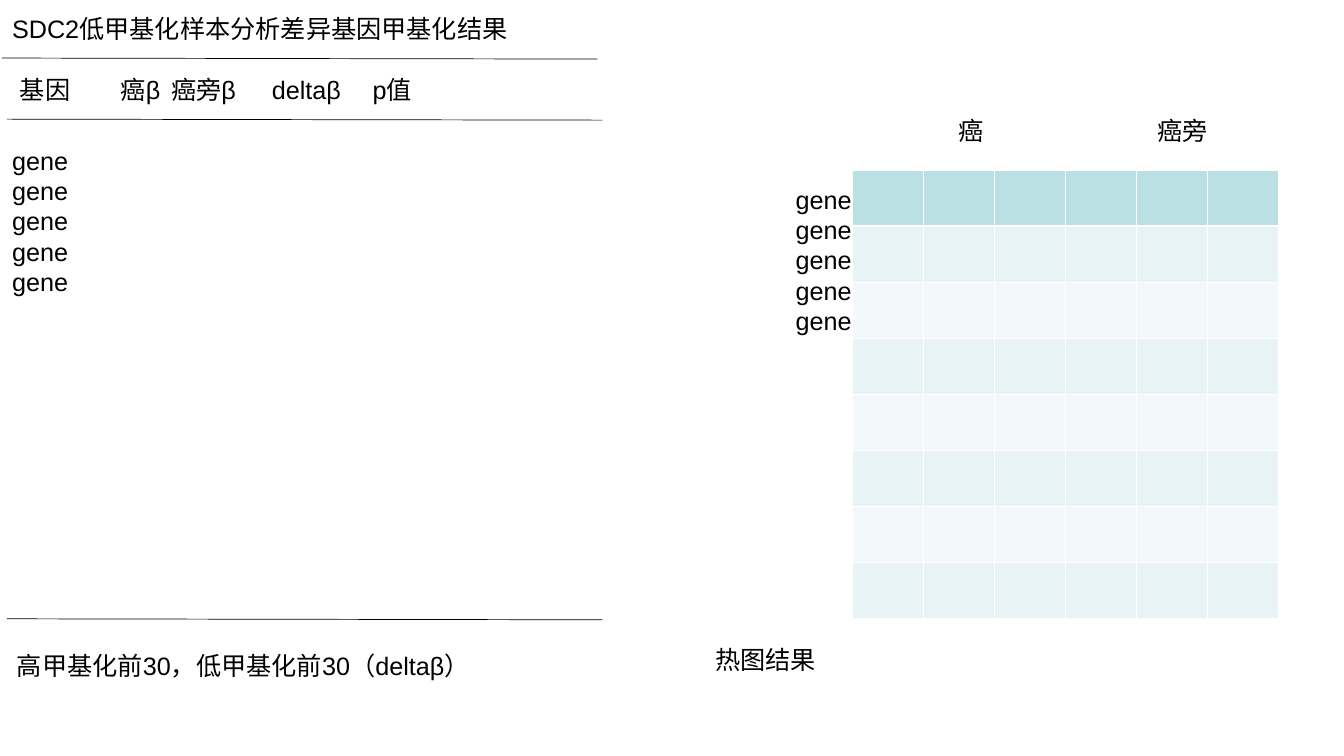
from dataclasses import dataclass

from lxml.etree import SubElement
from pptx import Presentation
from pptx.dml.color import RGBColor as Rgb
from pptx.enum.shapes import MSO_CONNECTOR as Connector
from pptx.enum.text import MSO_ANCHOR as Anchor, MSO_AUTO_SIZE as AutoSize, PP_ALIGN as Align
from pptx.oxml.ns import qn
from pptx.util import Pt

SCALE = 914400 / 100.7
GENES = ["gene"] * 5
RESULT_COLUMNS = ["基因", "癌β", "癌旁β", "deltaβ", "p值"]
RESULT_TABS = [84, 178, 270, 388]
RESULT_RULES = [(2, 58), (7, 119), (7, 618)]
TISSUES = {"癌": 875, "癌旁": 1087}
HEATMAP_COLUMNS, HEATMAP_ROWS = 6, 8


@dataclass(frozen=True)
class Theme:
    """Colours, font and sizes of the slide."""
    font: str = "Arial"
    size: float = 18
    ink: str = "000000"
    rule: float = 0.5
    head: str = "BBE0E3"
    bands: tuple = ("E7F3F4", "F3F9FA")
    grid: str = "FFFFFF"
    grid_width: float = 0.45
    head_width: float = 1.47


THEME = Theme()


def px(length):
    """Turn pixels into EMU."""
    return round(length * SCALE)


def apply(target, formats):
    """Set each attribute named in formats on target."""
    for name, value in formats.items():
        setattr(target, name, value)


def write(holder, box, lines, align=Align.LEFT):
    """Place a text holder and fill it with unbulleted lines."""
    apply(holder, dict(zip(("left", "top", "width", "height"), map(px, box))))
    frame = holder.text_frame
    frame.text = "\n".join(lines)
    apply(frame, {"word_wrap": True, "auto_size": AutoSize.SHAPE_TO_FIT_TEXT,
                  "vertical_anchor": Anchor.TOP})
    for line in frame.paragraphs:
        apply(line, {"alignment": align, "space_before": Pt(0)})
        apply(line.font, {"name": THEME.font, "size": Pt(THEME.size)})
        line.font.color.rgb = Rgb.from_string(THEME.ink)
        layout = line._p.get_or_add_pPr()
        apply_indent = {"marL": "0", "indent": "0"}
        layout.attrib.update(apply_indent)
        SubElement(layout, qn("a:buNone"))
    return frame


def add_label(slide, box, text, align=Align.LEFT):
    """Add a text box holding one paragraph."""
    return write(slide.shapes.add_textbox(0, 0, 0, 0), box, [text], align)


def add_column_heads(slide, box, heads, stops):
    """Add a line of column heads set on tab stops."""
    line = add_label(slide, box, "\t".join(heads)).paragraphs[0]
    tabs = SubElement(line._p.get_or_add_pPr(), qn("a:tabLst"))
    for stop in stops:
        SubElement(tabs, qn("a:tab"), pos=str(px(stop)), algn="l")


def add_rule(slide, left, top, width=595, drop=1):
    """Add a thin rule of the results table."""
    rule = slide.shapes.add_connector(
        Connector.STRAIGHT, px(left), px(top), px(left + width), px(top + drop))
    rule.line.width = Pt(THEME.rule)
    rule.line.color.rgb = Rgb.from_string(THEME.ink)
    SubElement(rule._element.spPr, qn("a:effectLst"))


def style_cell(cell, row):
    """Give a heatmap cell its borders and band colour."""
    properties = cell._tc.get_or_add_tcPr()
    heavy = {0: "B", 1: "T"}.get(row)
    for side in "LRTB":
        width = THEME.head_width if side == heavy else THEME.grid_width
        border = SubElement(properties, qn(f"a:ln{side}"), w=str(Pt(width)))
        paint = SubElement(border, qn("a:solidFill"))
        SubElement(paint, qn("a:srgbClr"), val=THEME.grid)
    cell.fill.solid()
    band = THEME.bands[(row - 1) % 2] if row else THEME.head
    cell.fill.fore_color.rgb = Rgb.from_string(band)


def add_heatmap(slide, left, top, column_width, row_height):
    """Add the empty heatmap grid."""
    heatmap = slide.shapes.add_table(
        HEATMAP_ROWS, HEATMAP_COLUMNS, px(left), px(top),
        px(column_width * HEATMAP_COLUMNS), px(row_height * HEATMAP_ROWS)).table
    for column in heatmap.columns:
        column.width = px(column_width)
    for index, row in enumerate(heatmap.rows):
        row.height = px(row_height)
        for cell in row.cells:
            style_cell(cell, index)


def main():
    """Build the slide and save it."""
    deck = Presentation()
    apply(deck, {"slide_width": px(1343), "slide_height": px(755)})
    slide = deck.slides.add_slide(deck.slide_layouts.get_by_name("Two Content"))
    title, result_genes, heatmap_genes = slide.placeholders
    write(title, (2, 8, 656, 40), ["SDC2低甲基化样本分析差异基因甲基化结果"])
    write(result_genes, (2, 140, 160, 222), GENES)
    write(heatmap_genes, (785, 179, 116, 222), GENES)
    add_column_heads(slide, (10, 69, 489, 40), RESULT_COLUMNS, RESULT_TABS)
    for left, top in RESULT_RULES:
        add_rule(slide, left, top)
    add_label(slide, (7, 645, 480, 70), "高甲基化前30，低甲基化前30（deltaβ）")
    add_heatmap(slide, 852, 170, 71, 56)
    for tissue, left in TISSUES.items():
        add_label(slide, (left, 110, 190, 40), tissue, Align.CENTER)
    add_label(slide, (571, 638, 388, 40), "热图结果", Align.CENTER)
    deck.save("out.pptx")


if __name__ == "__main__":
    main()
